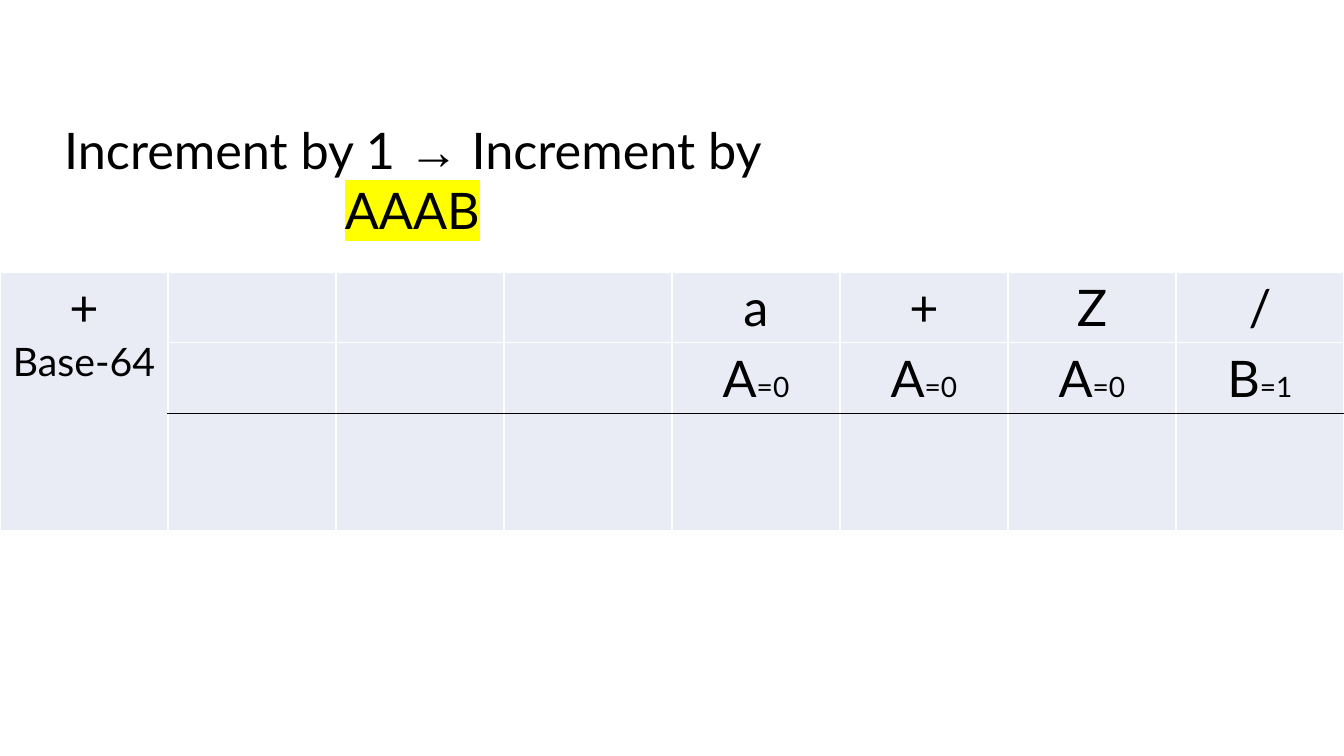
from lxml import etree
from pptx import Presentation
from pptx.dml.color import RGBColor
from pptx.enum.text import PP_ALIGN
from pptx.oxml.ns import qn
from pptx.util import Inches, Pt

CENTER = PP_ALIGN.CENTER
BLACK = RGBColor(0x00, 0x00, 0x00)
WHITE = RGBColor(0xFF, 0xFF, 0xFF)
YELLOW = RGBColor(0xFF, 0xFF, 0x00)
PALE_BLUE = RGBColor(0xE9, 0xEB, 0xF5)
BODY_FONT = "Lato"
ARROW_FONT = "Times New Roman"
LARGE, MEDIUM, SMALL = 36, 28, 20
SLIDE_WIDTH, SLIDE_HEIGHT = 13.33, 7.5
COLUMNS = 8
ROW_HEIGHTS = [0.69, 0.7, 1.16]
FIRST_DIGIT_COLUMN = 4
AUGEND = ["a", "+", "Z", "/"]
ADDEND = [("A", "=0"), ("A", "=0"), ("A", "=0"), ("B", "=1")]


class SlideBuilder:
    def __init__(self, slide):
        self.slide = slide

    def fill_text(self, frame, paragraphs):
        for index, runs in enumerate(paragraphs):
            paragraph = frame.add_paragraph() if index else frame.paragraphs[0]
            paragraph.alignment = CENTER
            for text, size, name, highlight in runs:
                run = paragraph.add_run()
                run.text = text
                for attribute, value in {"size": Pt(size), "name": name}.items():
                    setattr(run.font, attribute, value)
                run.font.color.rgb = BLACK
                if highlight:
                    self.highlight(run, highlight)

    def highlight(self, run, color):
        element = etree.Element(qn("a:highlight"))
        etree.SubElement(element, qn("a:srgbClr"), val=str(color))
        run._r.get_or_add_rPr().find(qn("a:solidFill")).addnext(element)

    def text(self, left, top, width, height, paragraphs):
        box = self.slide.shapes.add_textbox(
            Inches(left), Inches(top), Inches(width), Inches(height))
        box.text_frame.word_wrap = True
        self.fill_text(box.text_frame, paragraphs)

    def border(self, cell, side, color):
        properties = cell._tc.get_or_add_tcPr()
        line = etree.SubElement(properties, qn(f"a:ln{side}"), w=str(Pt(1)))
        fill = etree.SubElement(line, qn("a:solidFill"))
        etree.SubElement(fill, qn("a:srgbClr"), val=str(color))

    def table(self, left, top, width, row_heights, columns, contents):
        table = self.slide.shapes.add_table(
            len(row_heights), columns, Inches(left), Inches(top),
            Inches(width), Inches(sum(row_heights))).table
        for attribute, value in {"first_row": False, "horz_banding": False}.items():
            setattr(table, attribute, value)
        for row, height in zip(table.rows, row_heights):
            row.height = Inches(height)
        last = len(row_heights) - 1
        for row in range(len(row_heights)):
            for column in range(columns):
                cell = table.cell(row, column)
                sum_line = {(last - 1, "B"), (last, "T")} if column else set()
                for side in "LRTB":
                    self.border(cell, side, BLACK if (row, side) in sum_line else WHITE)
                cell.fill.solid()
                cell.fill.fore_color.rgb = PALE_BLUE
                self.fill_text(cell.text_frame, contents.get((row, column), []))
        table.cell(0, 0).merge(table.cell(last, 0))


def styled(text, size=LARGE, name=BODY_FONT, highlight=None):
    return text, size, name, highlight


def main():
    presentation = Presentation()
    presentation.slide_width = Inches(SLIDE_WIDTH)
    presentation.slide_height = Inches(SLIDE_HEIGHT)
    builder = SlideBuilder(presentation.slides.add_slide(presentation.slide_layouts[6]))

    contents = {(0, 0): [[styled("+")], [styled("Base-64", MEDIUM)]]}
    digits = enumerate(zip(AUGEND, ADDEND), FIRST_DIGIT_COLUMN)
    for column, (digit, (letter, value)) in digits:
        contents[0, column] = [[styled(digit)]]
        contents[1, column] = [[styled(letter), styled(value, SMALL)]]
    builder.table(0, 2.7, SLIDE_WIDTH, ROW_HEIGHTS, COLUMNS, contents)

    builder.text(0, 1.13, 8.18, 0.71, [[
        styled("Increment by 1 "),
        styled("→", name=ARROW_FONT),
        styled(" Increment by "),
        styled("AAAB", highlight=YELLOW),
    ]])
    presentation.save("out.pptx")


if __name__ == "__main__":
    main()
